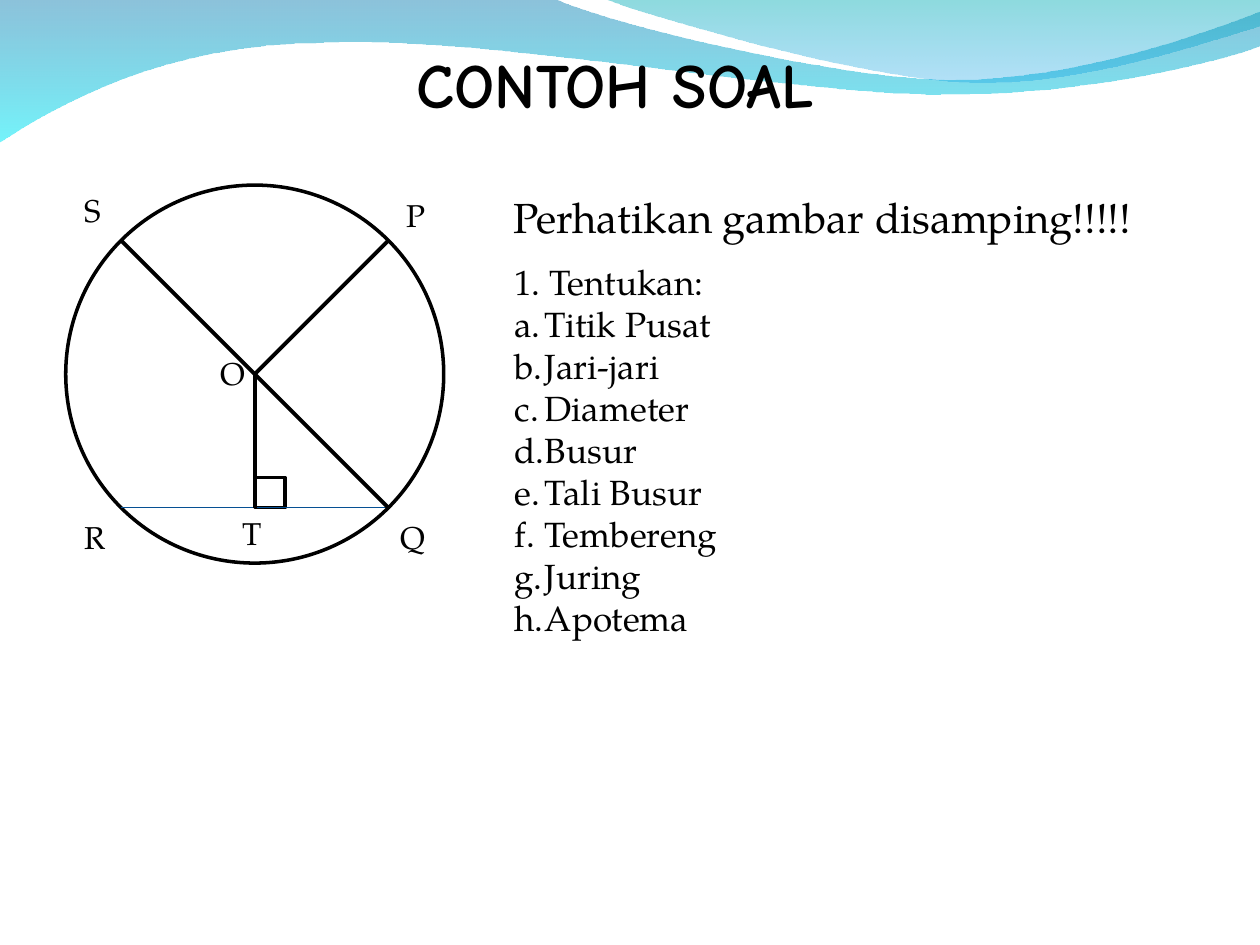
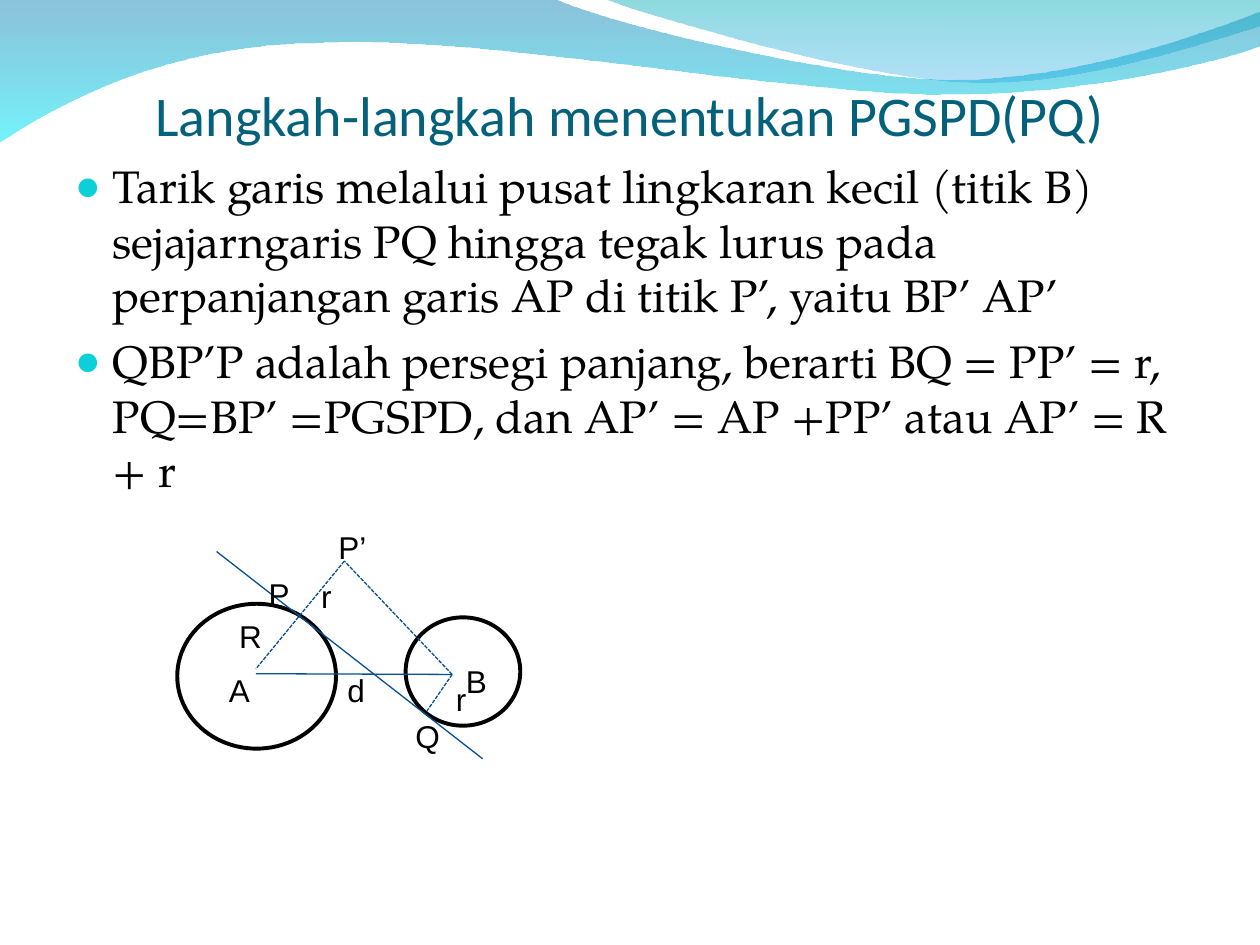
"""Build two geometry slides: parts of a circle and the inner common tangent."""
from math import sqrt

from lxml.etree import SubElement
from pptx import Presentation
from pptx.dml.color import RGBColor
from pptx.enum.dml import MSO_LINE
from pptx.enum.shapes import MSO_CONNECTOR, MSO_SHAPE
from pptx.enum.text import MSO_ANCHOR, PP_ALIGN
from pptx.oxml.ns import qn
from pptx.util import Pt

BLACK = RGBColor(0x00, 0x00, 0x00)
TITLE_TEAL = RGBColor(0x04, 0x61, 0x7B)
LINE_BLUE = RGBColor(0x06, 0x50, 0x93)
BULLET_CYAN = RGBColor(0x0B, 0xD0, 0xD9)
WAVE_BLUE = RGBColor(0x00, 0x79, 0xAF)
WAVE_CYAN = RGBColor(0x00, 0xEB, 0xF8)
RIBBON_TEAL = RGBColor(0x00, 0xAD, 0xB6)
RIBBON_BLUE = RGBColor(0x00, 0x9B, 0xE5)

SERIF = "TeX Gyre Pagella"
SANS = "Arial"
EXAMPLE_TITLE = {"size": Pt(36), "name": "Comic Neue", "bold": True}
STEPS_TITLE = {"size": Pt(32), "name": "Calibri"}
LEAD = {"size": Pt(24), "name": SERIF}
LIST = {"size": Pt(20), "name": SERIF}
BODY = {"size": Pt(26), "name": SERIF}
SERIF_LABEL = {"size": Pt(18), "name": SERIF}
SANS_LABEL = {"size": Pt(18), "name": SANS}

WAVE = [
    (0, -0.7), (316.8, -0.7),
    (342.7, 12.2, 478.1, 45.4, 545.8, 45.4),
    (614.2, 45.4, 689.8, 18.7, 720, 6.5),
    (720.7, 25.9),
    (707.8, 31.7, 626.4, 54.7, 537.1, 54),
    (447.8, 54, 275, 20.2, 185, 24.5),
    (92.9, 25.2, 33.1, 59.8, -0.7, 81.4),
]
RIBBON = [
    (344.9, -0.7),
    (366.5, 7.9, 491, 44.6, 553.7, 46.8),
    (616.3, 49.7, 691.9, 23, 720, 15.1),
    (720, 0),
]
BANDS = [
    (WAVE, [(WAVE_BLUE, 45), (WAVE_CYAN, 55)]),
    (RIBBON, [(RIBBON_TEAL, 45), (RIBBON_BLUE, 30)]),
]


def add_text(page, frame, lines, look, color=BLACK, wrap=True):
    """Add a text box with one paragraph per line and return its text frame."""
    box = page.shapes.add_textbox(*map(Pt, frame))
    text = box.text_frame
    text.word_wrap = wrap
    for index, line in enumerate(lines):
        para = text.paragraphs[0] if index == 0 else text.add_paragraph()
        span = para.add_run()
        span.text = line
        for name, value in look.items():
            setattr(span.font, name, value)
        span.font.color.rgb = color
    return text


def add_line(page, start, end, color=LINE_BLUE, width=0.75, dash=None):
    """Add a straight line between two points."""
    line = page.shapes.add_connector(MSO_CONNECTOR.STRAIGHT, *map(Pt, start + end))
    line.line.color.rgb = color
    line.line.width = Pt(width)
    if dash:
        line.line.dash_style = dash
    SubElement(line._element.spPr, qn("a:effectLst"))


deck = Presentation()
deck.slide_width, deck.slide_height = Pt(720), Pt(540)
pages = [deck.slides.add_slide(deck.slide_layouts[6]) for _ in range(2)]
example, steps = pages

for page in pages:
    for outline, stops in BANDS:
        corners = [tuple(map(Pt, segment[-2:])) for segment in outline]
        builder = page.shapes.build_freeform(*corners[0], scale=1.0)
        builder.add_line_segments(corners[1:], close=True)
        band = builder.convert_to_shape()
        band.shadow.inherit = False
        band.line.fill.background()
        band.fill.gradient()
        band.fill.gradient_angle = 270
        for stop, position, (color, opacity) in zip(band.fill.gradient_stops, (0, 1), stops):
            stop.position = position
            stop.color.rgb = color
        tints = band._element.spPr.iter(qn("a:srgbClr"))
        for tint, (color, opacity) in zip(list(tints), stops):
            SubElement(tint, qn("a:alpha"), val=str(opacity * 1000))
        sides = list(band._element.spPr.iter(qn("a:lnTo")))
        for side, segment in zip(sides, outline[1:]):
            if len(segment) == 6:
                side.tag = qn("a:cubicBezTo")
                for index, (x, y) in enumerate([segment[:2], segment[2:4]]):
                    handle = SubElement(side, qn("a:pt"), x=str(Pt(x) - band.left),
                                        y=str(Pt(y) - band.top))
                    side.insert(index, handle)

RADIUS = 108
LEG = RADIUS / sqrt(2)
MARK = 17.3
center_x, center_y = 145.6, 213.8
point_o = (center_x, center_y)
point_p = (center_x + LEG, center_y - LEG)
point_q = (center_x + LEG, center_y + LEG)
point_r = (center_x - LEG, center_y + LEG)
point_s = (center_x - LEG, center_y - LEG)
point_t = (center_x, center_y + LEG)

OUTLINES = [
    (example, MSO_SHAPE.OVAL,
     (center_x - RADIUS, center_y - RADIUS, 2 * RADIUS, 2 * RADIUS), 2),
    (example, MSO_SHAPE.RECTANGLE, (center_x, center_y + LEG - MARK, MARK, MARK), 2),
    (steps, MSO_SHAPE.OVAL, (101.3, 345, 90.7, 82.8), 2.25),
    (steps, MSO_SHAPE.OVAL, (231.8, 352.8, 65.5, 61.9), 2.25),
]
for page, kind, frame, width in OUTLINES:
    outline = page.shapes.add_shape(kind, *map(Pt, frame))
    outline.shadow.inherit = False
    outline.fill.background()
    outline.line.color.rgb = BLACK
    outline.line.width = Pt(width)

title = add_text(example, (61.9, 22.3, 579.6, 50.4), ["CONTOH SOAL"], EXAMPLE_TITLE)
title.paragraphs[0].alignment = PP_ALIGN.CENTER

add_line(example, point_r, point_q)
for start, end in [(point_s, point_q), (point_p, point_o), (point_o, point_t)]:
    add_line(example, start, end, BLACK, 2.25)

for name, left, top in [("P", 225.4, 108.3), ("Q", 221.8, 292.3), ("O", 118.8, 199),
                        ("T", 131.5, 290.2), ("R", 41, 292.3), ("S", 41, 105.8)]:
    add_text(example, (left, top, 28, 28.8), [name], SERIF_LABEL, wrap=False)

add_text(example, (286.3, 105.8, 385.9, 64.8), ["Perhatikan gambar disamping!!!!!"], LEAD)
tasks = add_text(example, (286.9, 145.4, 354.2, 223.2), [
    "1. Tentukan:", "Titik Pusat", "Jari-jari", "Diameter", "Busur",
    "Tali Busur", "Tembereng", "Juring", "Apotema"], LIST)
for para in tasks.paragraphs[1:]:
    props = para._p.get_or_add_pPr()
    props.set("marL", str(Pt(17.3)))
    props.set("indent", str(-Pt(17.3)))
    SubElement(props, qn("a:buAutoNum"), type="alphaLcPeriod")

title = add_text(steps, (36, 28.1, 648, 56.2), ["Langkah-langkah menentukan PGSPD(PQ)"],
                 STEPS_TITLE, TITLE_TEAL)
title.paragraphs[0].alignment = PP_ALIGN.CENTER
for name, value in {"vertical_anchor": MSO_ANCHOR.BOTTOM, "margin_left": 0,
                    "margin_right": 0, "margin_bottom": 0}.items():
    setattr(title, name, value)

body = add_text(steps, (35.7, 86.8, 648, 380.2), [
    "Tarik garis melalui pusat lingkaran kecil (titik B) sejajarngaris PQ hingga tegak "
    "lurus pada perpanjangan garis AP di titik P’, yaitu BP’ AP’",
    "QBP’P adalah persegi panjang, berarti BQ = PP’ = r, PQ=BP’ =PGSPD, dan "
    "AP’ = AP +PP’ atau AP’ = R + r"], BODY)
for index, para in enumerate(body.paragraphs):
    if index:
        para.space_before = Pt(6.5)
    props = para._p.get_or_add_pPr()
    props.set("marL", str(Pt(21.6)))
    props.set("indent", str(-Pt(21.6)))
    SubElement(SubElement(props, qn("a:buClr")), qn("a:srgbClr"), val=str(BULLET_CYAN))
    SubElement(props, qn("a:buSzPct"), val="95000")
    SubElement(props, qn("a:buFont"), typeface=SANS)
    SubElement(props, qn("a:buChar"), char="●")

point_a, point_b, point_p2 = (146.2, 385), (258.4, 385.4), (196.8, 320.6)
add_line(steps, (123.8, 315.2), (275.8, 433.6))
add_line(steps, point_a, point_b)
for start, end in [(point_b, (244.1, 406.1)), (point_b, point_p2), (point_p2, (146.2, 382.3))]:
    add_line(steps, start, end, dash=MSO_LINE.SQUARE_DOT)

for name, left, top, width in [
        ("A", 123.8, 380, 25.9), ("B", 259.2, 374.7, 25.9), ("Q", 230.2, 406.1, 28.1),
        ("d", 191.5, 380, 24.5), ("P", 146.4, 324.9, 25.9), ("R", 129.6, 348.8, 27.4),
        ("r", 253.4, 385.2, 20.2), ("P’", 186.3, 298.1, 30.2), ("r", 176.4, 326.2, 20.2)]:
    add_text(steps, (left, top, width, 28.8), [name], SANS_LABEL, wrap=False)

deck.save("out.pptx")
